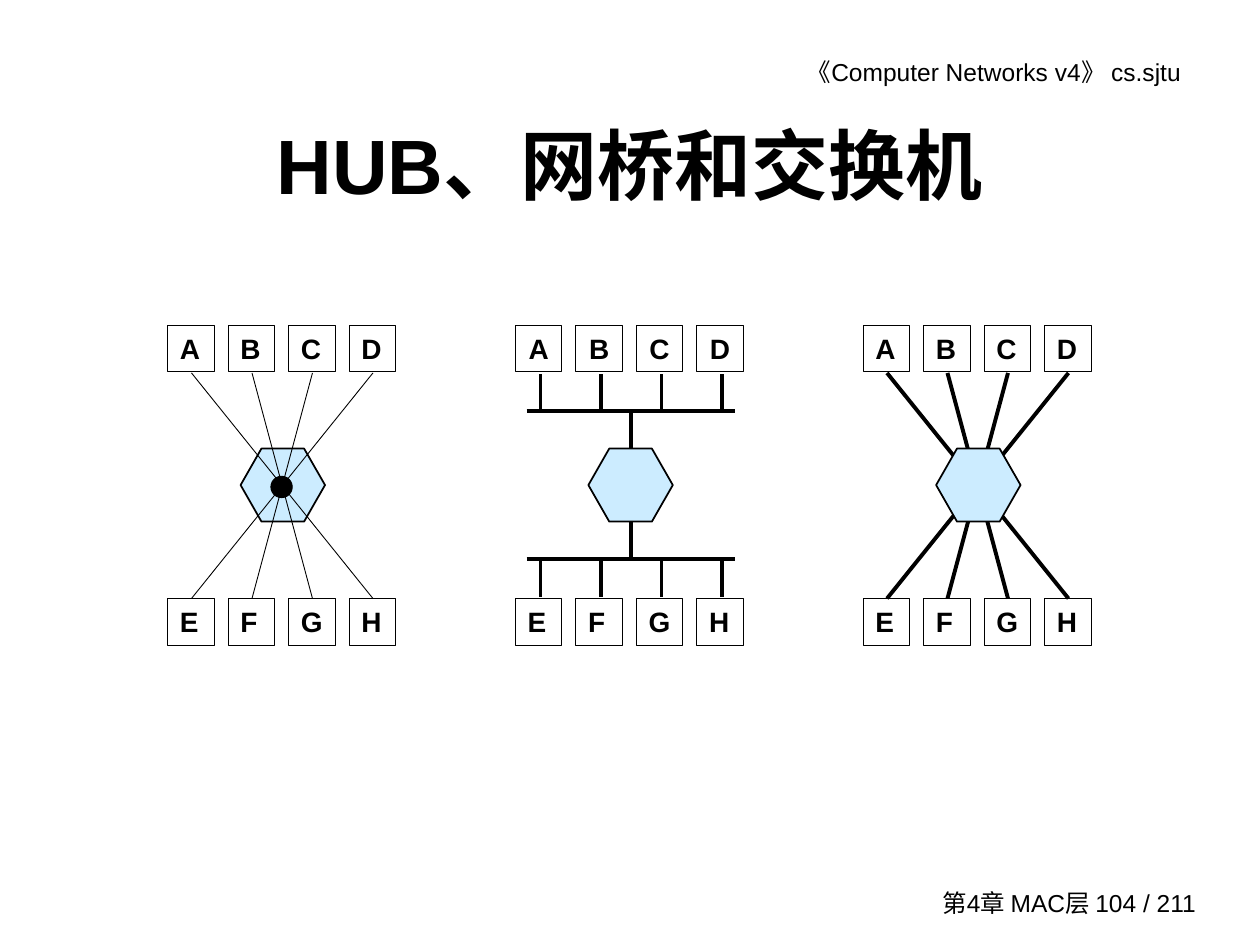
from pptx import Presentation
from pptx.util import Inches, Pt
from pptx.dml.color import RGBColor
from pptx.enum.shapes import MSO_SHAPE, MSO_CONNECTOR
from pptx.enum.text import PP_ALIGN, MSO_ANCHOR
from lxml.etree import SubElement
from pptx.oxml.ns import qn

BLACK = RGBColor(0x00, 0x00, 0x00)
PALE = RGBColor(0xCC, 0xEC, 0xFF)
THIN, THICK = 0.5, 2.25
PITCH, SIDE = 0.48, 0.37
LOW = 2.17


def write(frame, text, size, bold, align, anchor, pad=(0.1, 0.05)):
    frame.word_wrap = True
    frame.vertical_anchor = anchor
    frame.margin_left = frame.margin_right = Inches(pad[0])
    frame.margin_top = frame.margin_bottom = Inches(pad[1])
    frame.text = text
    line = frame.paragraphs[0]
    line.alignment = align
    font = line.runs[0].font
    font.name, font.size, font.bold = "Arial", Pt(size), bold
    font.color.rgb = BLACK


def label(slide, box, text, size, bold, align, anchor, pad=(0.1, 0.05)):
    area = slide.shapes.add_textbox(*map(Inches, box))
    write(area.text_frame, text, size, bold, align, anchor, pad)


def shape(slide, kind, box, fill, width):
    item = slide.shapes.add_shape(kind, *map(Inches, box))
    item.shadow.inherit = False
    if fill is None:
        item.fill.background()
    else:
        item.fill.solid()
        item.fill.fore_color.rgb = fill
    item.line.color.rgb = BLACK
    item.line.width = Pt(width)
    return item


def wire(slide, left, top, start, end, width):
    ends = (left + start[0], top + start[1], left + end[0], top + end[1])
    item = slide.shapes.add_connector(MSO_CONNECTOR.STRAIGHT, *map(Inches, ends))
    item.line.color.rgb = BLACK
    item.line.width = Pt(width)
    SubElement(item.element.spPr, qn("a:effectLst"))


def core(slide, left, top):
    item = shape(slide, MSO_SHAPE.HEXAGON,
                 (left + 0.58, top + 0.98, 0.67, 0.58), PALE, 1)
    item.adjustments[0] = 0.286
    item.adjustments[1] = 1.155


def hosts(slide, left, top, names, align):
    for i, name in enumerate(names):
        item = shape(slide, MSO_SHAPE.RECTANGLE,
                     (left + i * PITCH, top, SIDE, SIDE), None, THIN)
        write(item.text_frame, name, 16, True, align, MSO_ANCHOR.TOP)


def rows(slide, left, top, align=PP_ALIGN.LEFT):
    hosts(slide, left, top, "ABCD", align)
    hosts(slide, left, top + LOW, "EFGH", PP_ALIGN.LEFT)


def spokes(slide, left, top, width):
    for i in range(4):
        wire(slide, left, top, (0.19 + i * PITCH, 0.38),
             (0.19 + (3 - i) * PITCH, LOW), width)


def hub(slide, left, top):
    core(slide, left, top)
    shape(slide, MSO_SHAPE.OVAL, (left + 0.82, top + 1.2, 0.17, 0.17), BLACK, THIN)
    rows(slide, left, top)
    spokes(slide, left, top, THIN)


def bridge(slide, left, top):
    rows(slide, left, top, PP_ALIGN.CENTER)
    for bus, host, hex_end in ((0.68, 0.39, 1), (1.86, 2.16, 1.55)):
        wire(slide, left, top, (0.09, bus), (1.74, bus), THICK)
        wire(slide, left, top, (0.92, bus), (0.92, hex_end), THICK)
        for i in range(4):
            x = 0.2 + i * PITCH
            wire(slide, left, top, (x, host), (x, bus), THICK)
    core(slide, left, top)


def switch(slide, left, top):
    rows(slide, left, top)
    spokes(slide, left, top, THICK)
    core(slide, left, top)


def main():
    deck = Presentation()
    deck.slide_width, deck.slide_height = Inches(10), Inches(7.5)
    slide = deck.slides.add_slide(deck.slide_layouts[6])
    label(slide, (4.76, 0.4, 4.71, 0.34), "《Computer Networks v4》 cs.sjtu",
          14, False, PP_ALIGN.RIGHT, MSO_ANCHOR.TOP)
    label(slide, (7.3, 7, 2.29, 0.33), "第4章 MAC层 104 / 211",
          14, False, PP_ALIGN.RIGHT, MSO_ANCHOR.MIDDLE)
    label(slide, (0.75, 0.67, 8.5, 1.25), "HUB、网桥和交换机",
          44, True, PP_ALIGN.CENTER, MSO_ANCHOR.MIDDLE, (0.02, 0.01))
    for i, draw in enumerate((hub, bridge, switch)):
        draw(slide, 1.33 + i * 2.76, 2.58)
    deck.save("out.pptx")


if __name__ == "__main__":
    main()
